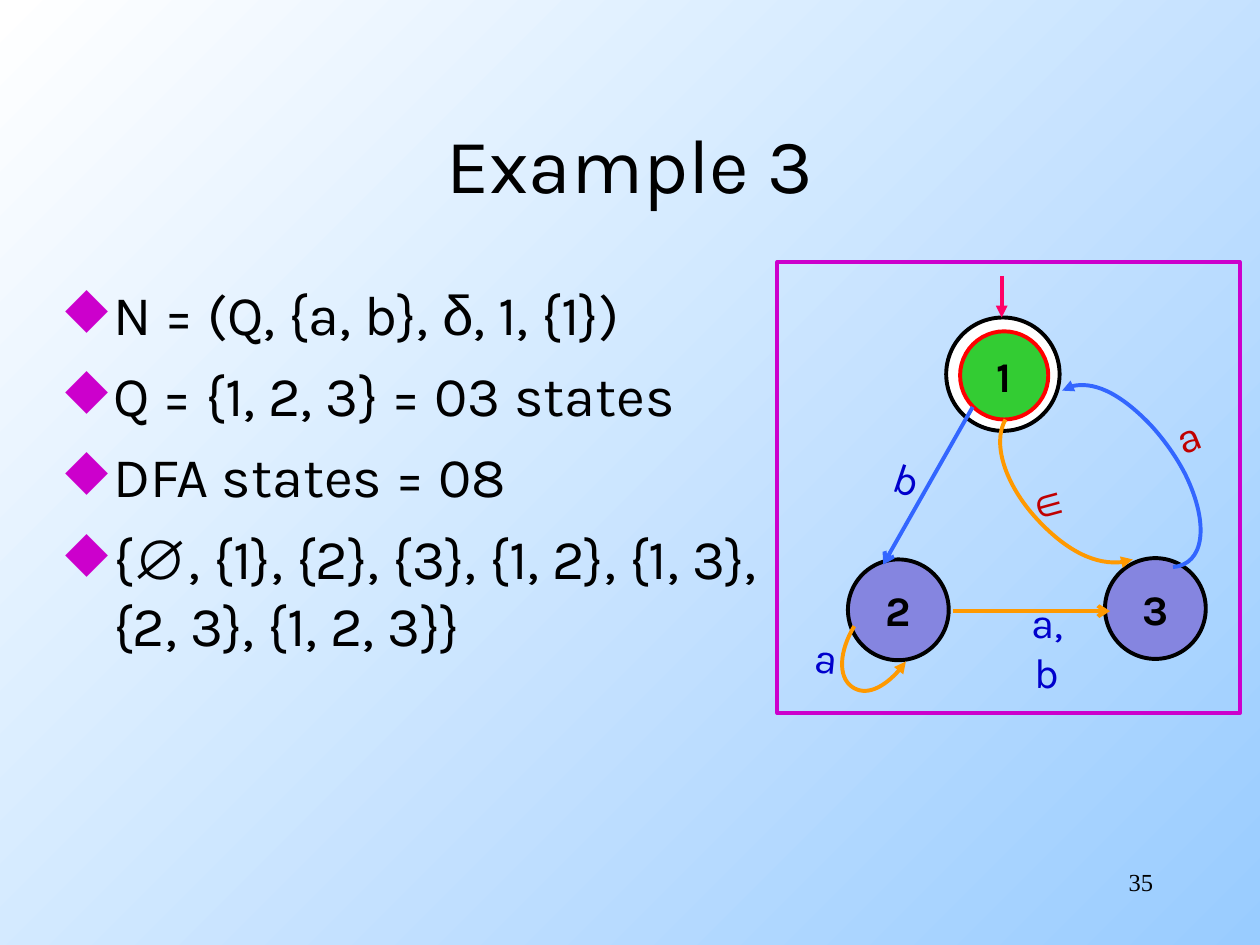
from dataclasses import dataclass

from pptx import Presentation
from pptx.dml.color import RGBColor
from pptx.enum.shapes import MSO_CONNECTOR, MSO_SHAPE
from pptx.enum.text import MSO_ANCHOR as Anchor, MSO_AUTO_SIZE as AutoSize, PP_ALIGN as Align
from pptx.oxml.ns import qn
from pptx.oxml.xmlchemy import OxmlElement
from pptx.util import Inches, Pt


@dataclass(frozen=True)
class Theme:
    black: str = "000000"
    white: str = "FFFFFF"
    sky: str = "99CCFF"
    magenta: str = "CC00CC"
    violet: str = "8585E0"
    green: str = "33CC33"
    red: str = "FF0000"
    pink: str = "FF0066"
    blue: str = "3366FF"
    orange: str = "FF9900"
    crimson: str = "C00000"
    navy: str = "0000CC"
    body_font: str = "Karla"
    symbol_font: str = "Arial"
    number_font: str = "Times New Roman"
    title_size: int = 44
    body_size: int = 32
    label_size: int = 24
    number_size: int = 14
    line_width: float = 2.25


THEME = Theme()
SYMBOLS = "δ∅∈"


def apply(target, values):
    for name, value in values.items():
        setattr(target, name, value)


def split_symbols(text):
    """Yield (piece, is_symbol) so that symbols can have their own font."""
    piece = ""
    for char in text:
        if char in SYMBOLS:
            if piece:
                yield piece, False
            yield char, True
            piece = ""
        else:
            piece += char
    if piece:
        yield piece, False


class SlideBuilder:
    def __init__(self, slide, theme):
        self.slide = slide
        self.shapes = slide.shapes
        self.theme = theme

    def background(self, start, end):
        fill = self.slide.background.fill
        fill.gradient()
        fill.gradient_angle = 315
        for stop, color in zip(fill.gradient_stops, (start, end)):
            stop.color.rgb = RGBColor.from_string(color)

    def add_text(self, paragraph, text, size, color=THEME.black, font=None, bold=False, align=None):
        paragraph.alignment = align
        for piece, is_symbol in split_symbols(text):
            run = paragraph.add_run()
            run.text = piece
            family = self.theme.symbol_font if is_symbol else font or self.theme.body_font
            apply(run.font, {"name": family, "size": Pt(size), "bold": bold})
            run.font.color.rgb = RGBColor.from_string(color)

    def title(self, text, box):
        title = self.shapes.title
        apply(title, dict(zip(("left", "top", "width", "height"), map(Inches, box))))
        apply(title.text_frame, {"word_wrap": True, "auto_size": AutoSize.NONE,
                                 "vertical_anchor": Anchor.MIDDLE})
        self.add_text(title.text_frame.paragraphs[0], text, self.theme.title_size,
                      align=Align.CENTER)

    def bullets(self, items, box):
        frame = self.shapes.add_textbox(*map(Inches, box)).text_frame
        frame.word_wrap = True
        for index, item in enumerate(items):
            paragraph = frame.add_paragraph() if index else frame.paragraphs[0]
            paragraph.space_before = Pt(8 if index else 0)
            props = paragraph._p.get_or_add_pPr()
            props.set("marL", str(Inches(0.38)))
            props.set("indent", str(-Inches(0.38)))
            color = OxmlElement("a:buClr")
            rgb = OxmlElement("a:srgbClr")
            rgb.set("val", self.theme.magenta)
            color.append(rgb)
            mark = OxmlElement("a:buChar")
            mark.set("char", "◆")
            props.extend([color, mark])
            self.add_text(paragraph, item, self.theme.body_size)

    def page_number(self, text, box):
        frame = self.shapes.add_textbox(*map(Inches, box)).text_frame
        frame.word_wrap = True
        self.add_text(frame.paragraphs[0], text, self.theme.number_size,
                      font=self.theme.number_font, align=Align.RIGHT)

    def label(self, text, left, top, color, rotation=0):
        box = self.shapes.add_textbox(Inches(left), Inches(top), Inches(0.58), Inches(0.33))
        box.rotation = rotation
        self.center_text(box.text_frame, text, color)

    def center_text(self, frame, text, color=THEME.black, bold=False):
        apply(frame, {"word_wrap": False, "vertical_anchor": Anchor.MIDDLE})
        self.add_text(frame.paragraphs[0], text, self.theme.label_size, color,
                      bold=bold, align=Align.CENTER)

    def outline(self, line, color):
        line.color.rgb = RGBColor.from_string(color)
        line.width = Pt(self.theme.line_width)

    def outlined_shape(self, kind, box, line, fill=None):
        shape = self.shapes.add_shape(kind, *map(Inches, box))
        shape.shadow.inherit = False
        if fill:
            shape.fill.solid()
            shape.fill.fore_color.rgb = RGBColor.from_string(fill)
        else:
            shape.fill.background()
        self.outline(shape.line, line)
        return shape

    def state(self, left, top, size, fill, line=THEME.black, name=""):
        circle = self.outlined_shape(MSO_SHAPE.OVAL, (left, top, size, size), line, fill)
        if name:
            self.center_text(circle.text_frame, name, bold=True)

    def outline_with_head(self, shape, color, head):
        self.outline(shape.line, color)
        tail = OxmlElement("a:tailEnd")
        tail.set("type", head)
        shape._element.spPr.find(qn("a:ln")).append(tail)

    def arrow(self, start, end, color, head="arrow"):
        connector = self.shapes.add_connector(MSO_CONNECTOR.STRAIGHT, *map(Inches, start + end))
        self.outline_with_head(connector, color, head)
        connector._element.spPr.append(OxmlElement("a:effectLst"))

    def curved_arrow(self, points, color):
        """Draw cubic curves: a start point, then two controls and an end for each curve."""
        start, *rest = [tuple(map(Inches, point)) for point in points]
        builder = self.shapes.build_freeform(*start)
        builder.add_line_segments(rest, close=False)
        curve = builder.convert_to_shape()
        segments = list(curve._element.iter(qn("a:lnTo")))
        for first in range(0, len(segments), 3):
            bezier = OxmlElement("a:cubicBezTo")
            segments[first].addprevious(bezier)
            for segment in segments[first:first + 3]:
                bezier.append(segment[0])
                segment.getparent().remove(segment)
        curve.shadow.inherit = False
        curve.fill.background()
        self.outline_with_head(curve, color, "triangle")


def main():
    deck = Presentation()
    apply(deck, {"slide_width": Inches(10), "slide_height": Inches(7.5)})
    page = SlideBuilder(deck.slides.add_slide(deck.slide_layouts[5]), THEME)
    page.background(THEME.white, THEME.sky)
    page.title("Example 3", (0.75, 0.67, 8.5, 1.25))
    page.bullets(["N = (Q, {a, b}, δ, 1, {1})", "Q = {1, 2, 3} = 03 states", "DFA states = 08",
                  "{∅, {1}, {2}, {3}, {1, 2}, {1, 3}, {2, 3}, {1, 2, 3}}"], (0.42, 2.17, 5.75, 4.5))
    page.page_number("35", (7.17, 6.83, 2.08, 0.5))

    page.state(6.73, 4.44, 0.8, THEME.violet, name="2")
    page.state(7.51, 2.52, 0.9, THEME.white)
    page.state(7.62, 2.63, 0.7, THEME.green, THEME.red, "1")
    page.state(8.77, 4.43, 0.8, THEME.violet, name="3")

    page.arrow((7.95, 2.19), (7.95, 2.52), THEME.pink, "triangle")
    page.arrow((7.72, 3.23), (7.01, 4.48), THEME.blue)
    page.arrow((7.56, 4.85), (8.81, 4.85), THEME.orange)
    page.curved_arrow([(9.31, 4.5), (9.56, 4.48), (9.6, 4.16), (9.41, 3.77), (9.34, 3.63),
                       (9.24, 3.49), (9.13, 3.37), (8.87, 3.1), (8.58, 2.99), (8.43, 3.1)],
                      THEME.blue)
    page.curved_arrow([(7.98, 3.33), (7.87, 3.52), (7.98, 3.85), (8.23, 4.12),
                       (8.48, 4.39), (8.79, 4.52), (8.99, 4.44)], THEME.orange)
    page.curved_arrow([(6.78, 4.97), (6.66, 5.17), (6.65, 5.37), (6.76, 5.45),
                       (6.87, 5.53), (7.06, 5.44), (7.19, 5.25)], THEME.orange)

    page.label("∈", 8.02, 3.8, THEME.crimson, 344.7)
    page.label("a", 9.14, 3.29, THEME.crimson, 337.6)
    page.label("b", 6.91, 3.63, THEME.navy, 18.5)
    page.label("a", 6.27, 5.05, THEME.navy, 5.6)
    page.label("a, b", 8.02, 4.97, THEME.navy)
    page.outlined_shape(MSO_SHAPE.RECTANGLE, (6.17, 2.08, 3.67, 3.58), THEME.magenta)
    deck.save("out.pptx")


if __name__ == "__main__":
    main()
